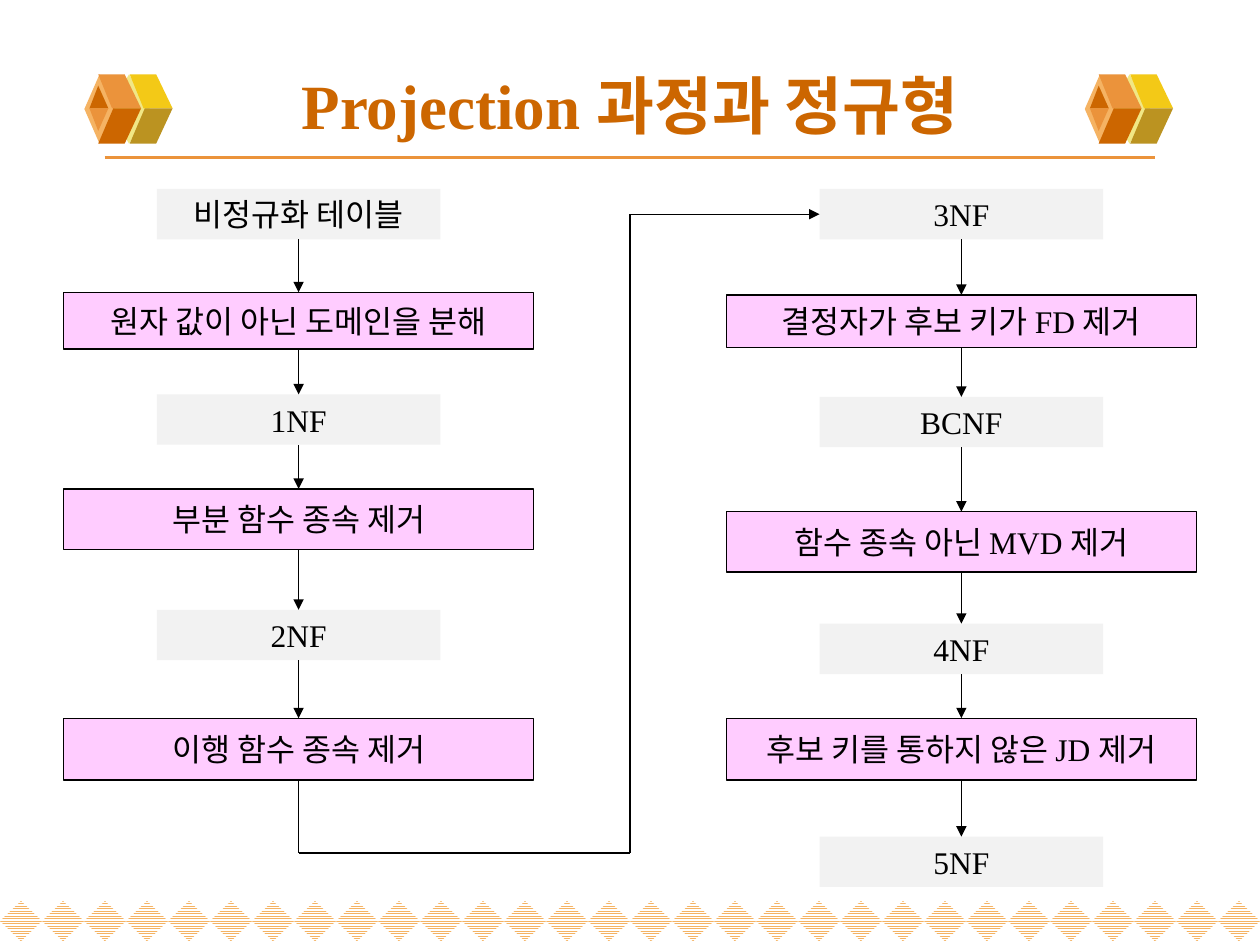
from dataclasses import dataclass
from itertools import pairwise

from lxml.etree import SubElement
from pptx import Presentation
from pptx.dml.color import RGBColor
from pptx.enum.dml import MSO_PATTERN
from pptx.enum.shapes import MSO_CONNECTOR, MSO_SHAPE
from pptx.enum.text import MSO_ANCHOR, MSO_AUTO_SIZE, PP_ALIGN
from pptx.oxml.ns import qn
from pptx.util import Inches, Pt


@dataclass(frozen=True)
class Theme:
    font: str = "Times New Roman"
    title_size: int = 36
    body_size: int = 18
    ink: str = "000000"
    accent: str = "CC6600"
    orange: str = "EB933B"
    peach: str = "F5B363"
    cream: str = "F1E785"
    yellow: str = "F3C917"
    olive: str = "BB9321"
    state: str = "F2F2F2"
    action: str = "FFCCFF"
    paper: str = "FFFFFF"


THEME = Theme()
STATE_WIDTH, ACTION_WIDTH = 2.25, 3.73
LEFT_CENTER, RIGHT_CENTER = 2.37, 7.63

# Each step: text, top, height, whether it is an action
LEFT_STEPS = [
    ("비정규화 테이블", 1.5, 0.4, False),
    ("원자 값이 아닌 도메인을 분해", 2.32, 0.45, True),
    ("1NF", 3.13, 0.4, False),
    ("부분 함수 종속 제거", 3.88, 0.48, True),
    ("2NF", 4.84, 0.4, False),
    ("이행 함수 종속 제거", 5.7, 0.49, True),
]
RIGHT_STEPS = [
    ("3NF", 1.5, 0.4, False),
    ("결정자가 후보 키가 FD 제거", 2.34, 0.42, True),
    ("BCNF", 3.15, 0.4, False),
    ("함수 종속 아닌 MVD 제거", 4.06, 0.48, True),
    ("4NF", 4.95, 0.4, False),
    ("후보 키를 통하지 않은 JD 제거", 5.7, 0.49, True),
    ("5NF", 6.64, 0.4, False),
]


def rgb(color):
    return RGBColor.from_string(color)


def paint(shape, color):
    shape.shadow.inherit = False
    shape.fill.solid()
    shape.fill.fore_color.rgb = rgb(color)
    shape.line.fill.background()


def write(frame, text, size, color, bold=False):
    frame.text = text
    frame.word_wrap = True
    frame.auto_size = MSO_AUTO_SIZE.NONE
    frame.vertical_anchor = MSO_ANCHOR.MIDDLE
    paragraph = frame.paragraphs[0]
    paragraph.alignment = PP_ALIGN.CENTER
    for run in paragraph.runs:
        run.font.name = THEME.font
        run.font.size = Pt(size)
        run.font.bold = bold
        run.font.color.rgb = rgb(color)


def add_line(slide, start, end, color=THEME.ink, width=0.75, arrow=False):
    ends = [Inches(value) for value in (*start, *end)]
    line = slide.shapes.add_connector(MSO_CONNECTOR.STRAIGHT, *ends)
    line.line.color.rgb = rgb(color)
    line.line.width = Pt(width)
    if arrow:
        SubElement(line.line._get_or_add_ln(), qn("a:tailEnd"), type="triangle")
    SubElement(line._element.spPr, qn("a:effectLst"))


def add_diamond(slide, left, top, width, height, color):
    diamond = slide.shapes.add_shape(
        MSO_SHAPE.DIAMOND, Inches(left), Inches(top), Inches(width), Inches(height))
    paint(diamond, color)
    return diamond


def add_facet(slide, left, top, points, color):
    corners = [(Inches(left + x), Inches(top + y)) for x, y in points]
    builder = slide.shapes.build_freeform(*corners[0])
    builder.add_line_segments(corners[1:], close=True)
    paint(builder.convert_to_shape(), color)


def add_cube(slide, left, top=0.59):
    """Ornament made of two diamonds and six facets."""
    upper = [(0.11, 0.27), (0.34, 0.27), (0.21, 0), (0, 0)]
    lower = [(0.12, 0), (0.34, 0), (0.21, 0.28), (0, 0.28)]
    add_diamond(slide, left + 0.19, top, 0.33, 0.55, THEME.cream)
    add_facet(slide, left + 0.36, top, upper, THEME.yellow)
    add_facet(slide, left + 0.36, top + 0.27, lower, THEME.olive)
    add_diamond(slide, left, top, 0.24, 0.55, THEME.peach)
    add_facet(slide, left + 0.11, top, upper, THEME.orange)
    add_facet(slide, left + 0.11, top + 0.27, lower, THEME.accent)
    for tip, color in ((0.09, THEME.accent), (0.45, THEME.orange)):
        add_facet(slide, left, top,
                  [(0.11, tip), (0.04, 0.27), (0.19, 0.27)], color)


def add_diamond_band(slide, count=30):
    pitch = 10 / count
    for index in range(count):
        fill = add_diamond(slide, index * pitch, 7.15, pitch, 0.32, THEME.peach).fill
        fill.patterned()
        fill.pattern = MSO_PATTERN.NARROW_HORIZONTAL
        fill.fore_color.rgb = rgb(THEME.peach)
        fill.back_color.rgb = rgb(THEME.paper)


def add_title(slide, text):
    title = slide.shapes.title
    title.left, title.top = Inches(0.5), Inches(0.45)
    title.width, title.height = Inches(9), Inches(0.76)
    write(title.text_frame, text, THEME.title_size, THEME.accent, bold=True)


def add_step(slide, center, text, top, height, is_action):
    width = ACTION_WIDTH if is_action else STATE_WIDTH
    step = slide.shapes.add_shape(
        MSO_SHAPE.RECTANGLE, Inches(center - width / 2), Inches(top),
        Inches(width), Inches(height))
    paint(step, THEME.action if is_action else THEME.state)
    if is_action:
        step.line.color.rgb = rgb(THEME.ink)
        step.line.width = Pt(0.75)
    write(step.text_frame, text, THEME.body_size, THEME.ink)


def add_flow(slide, center, steps):
    for step in steps:
        add_step(slide, center, *step)
    for (_, top, height, _), (_, next_top, _, _) in pairwise(steps):
        add_line(slide, (center, top + height), (center, next_top), arrow=True)


def add_bridge(slide):
    """Route from the last left step to the first right step."""
    _, top, height, _ = LEFT_STEPS[-1]
    turns = [(LEFT_CENTER, top + height), (LEFT_CENTER, 6.77), (5, 6.77),
             (5, 1.7), (RIGHT_CENTER - STATE_WIDTH / 2, 1.7)]
    for start, end in pairwise(turns):
        add_line(slide, start, end, arrow=end == turns[-1])


def main():
    deck = Presentation()
    deck.slide_width, deck.slide_height = Inches(10), Inches(7.5)
    slide = deck.slides.add_slide(deck.slide_layouts[5])

    # Decoration
    add_diamond_band(slide)
    add_line(slide, (0.83, 1.25), (9.17, 1.25), THEME.orange, 2.25)
    for left in (0.67, 8.61):
        add_cube(slide, left)

    # Title and normalization flow
    add_title(slide, "Projection 과정과 정규형")
    add_flow(slide, LEFT_CENTER, LEFT_STEPS)
    add_flow(slide, RIGHT_CENTER, RIGHT_STEPS)
    add_bridge(slide)

    deck.save("out.pptx")


if __name__ == "__main__":
    main()
